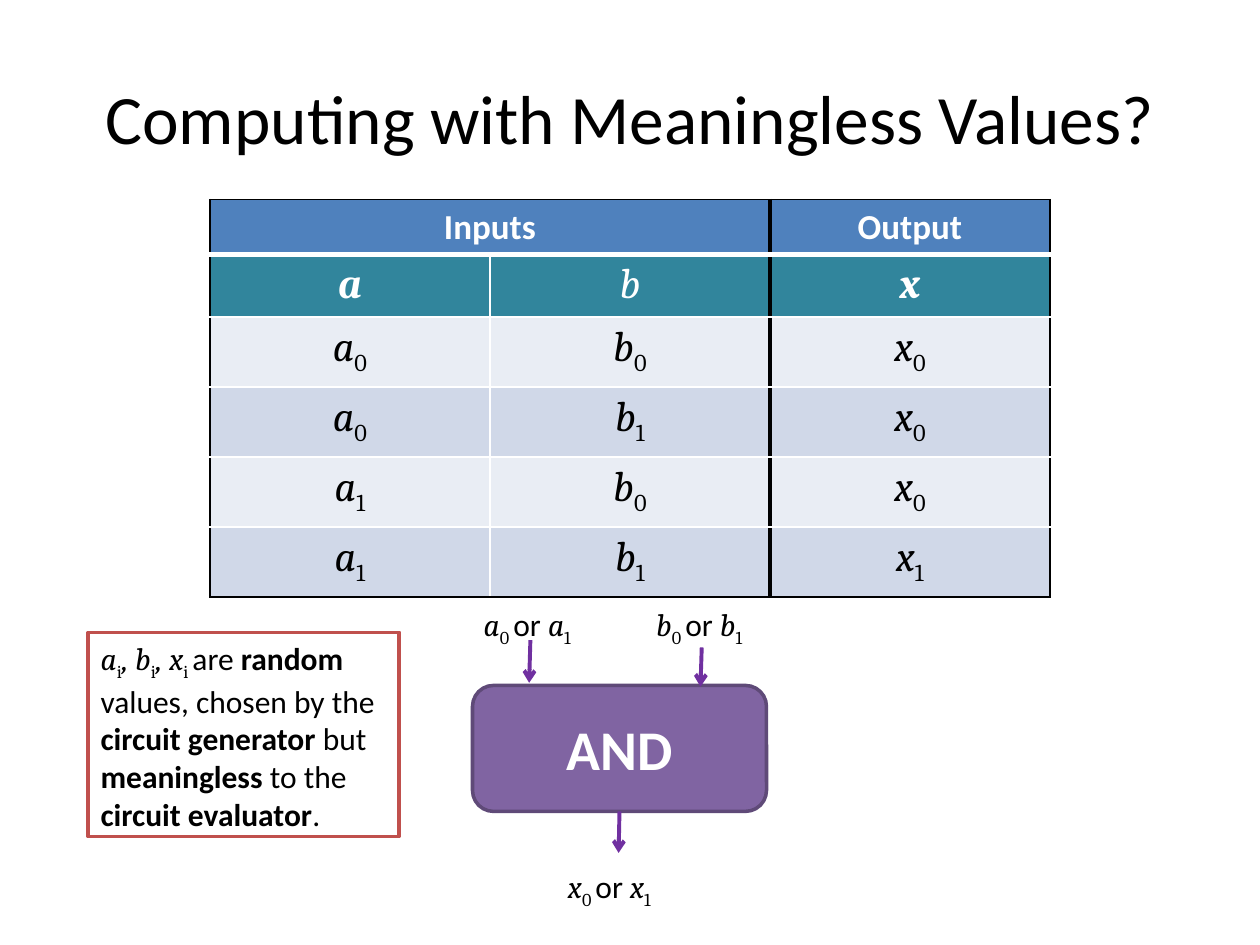
from lxml import etree
from pptx import Presentation
from pptx import util as u
from pptx.dml import color
from pptx.enum import shapes, text
from pptx.oxml import ns

COLORS = {
    "black": "000000", "white": "FFFFFF", "header": "4F81BD", "names": "31859C",
    "light": "E9EDF4", "dark": "D0D8E8", "gate": "8064A2", "gate_line": "5F4A78",
    "arrow": "7030A0", "note_line": "C0504D",
}
STYLES = {
    "plain": ("Calibri", False, False),
    "bold": ("Calibri", True, False),
    "variable": ("Cambria", False, True),
    "bold_variable": ("Cambria", True, True),
    "subscript": ("Cambria", False, False),
}
TRUTH_ROWS = ["000", "010", "100", "111"]
ROW_HEIGHTS = [31, 35] + [38] * len(TRUTH_ROWS)
COLUMN_EDGES = [("black", 1), ("white", 1), ("black", 3), ("black", 1)]
ROW_EDGES = [("black", 1), ("white", 3)] + [("white", 1)] * 4 + [("black", 1)]


def rgb(name):
    return color.RGBColor.from_string(COLORS[name])


def write(frame, spans, size, ink="black", align=text.PP_ALIGN.LEFT):
    para = frame.paragraphs[0]
    para.alignment = align
    for words, style in spans:
        span = para.add_run()
        span.text = words
        font = span.font
        font.name, font.bold, font.italic = STYLES[style]
        font.size = u.Pt(size)
        font.color.rgb = rgb(ink)
        if style == "subscript":
            span._r.get_or_add_rPr().set("baseline", "-25000")


def indexed(letter, index):
    return [(letter, "variable"), (index, "subscript")]


def add_text(page, place, spans, size, wrap=False, align=text.PP_ALIGN.LEFT):
    box = page.shapes.add_textbox(*map(u.Pt, place))
    box.text_frame.word_wrap = wrap
    write(box.text_frame, spans, size, align=align)
    return box


def add_choice(page, letter, left, top):
    spans = indexed(letter, "0 ") + [("or ", "plain")] + indexed(letter, "1")
    box = add_text(page, (left, top, 69.5, 29), spans, 18)
    box.text_frame.auto_size = text.MSO_AUTO_SIZE.SHAPE_TO_FIT_TEXT


def add_panel(page, kind, place, fill, line):
    panel = page.shapes.add_shape(kind, *map(u.Pt, place))
    panel.shadow.inherit = False
    panel.fill.solid()
    panel.fill.fore_color.rgb = rgb(fill)
    panel.line.color.rgb = rgb(line)
    panel.line.width = u.Pt(2)
    panel.text_frame.word_wrap = True
    return panel


def add_arrow(page, *ends):
    arrow = page.shapes.add_connector(
        shapes.MSO_CONNECTOR.STRAIGHT, *map(u.Pt, ends))
    arrow.line.color.rgb = rgb("arrow")
    arrow.line.width = u.Pt(2.25)
    etree.SubElement(arrow.line._get_or_add_ln(), ns.qn("a:tailEnd"), type="arrow")
    etree.SubElement(arrow._element.spPr, ns.qn("a:effectLst"))
    return arrow


def set_borders(cell, edges):
    properties = cell._tc.get_or_add_tcPr()
    for side, (ink, width) in zip("LRTB", edges):
        line = etree.SubElement(
            properties, ns.qn(f"a:ln{side}"), w=str(u.Pt(width)))
        fill = etree.SubElement(line, ns.qn("a:solidFill"))
        etree.SubElement(fill, ns.qn("a:srgbClr"), val=COLORS[ink])


def fill_cell(table, row, column, spans, size, ink, fill, columns=1):
    cell = table.cell(row, column)
    if columns > 1:
        cell.merge(table.cell(row, column + columns - 1))
    for part in range(column, column + columns):
        set_borders(table.cell(row, part), (
            COLUMN_EDGES[column], COLUMN_EDGES[column + columns],
            ROW_EDGES[row], ROW_EDGES[row + 1]))
    cell.fill.solid()
    cell.fill.fore_color.rgb = rgb(fill)
    write(cell.text_frame, spans, size, ink, text.PP_ALIGN.CENTER)


def add_truth_table(page):
    place = (120, 114, 480, sum(ROW_HEIGHTS))
    table = page.shapes.add_table(len(ROW_HEIGHTS), 3, *map(u.Pt, place)).table
    for row, height in zip(table.rows, ROW_HEIGHTS):
        row.height = u.Pt(height)
    fill_cell(table, 0, 0, [("Inputs", "bold")], 20, "white", "header", columns=2)
    fill_cell(table, 0, 2, [("Output", "bold")], 20, "white", "header")
    names = [("a", "bold_variable"), ("b", "variable"), ("x", "bold_variable")]
    for column, name in enumerate(names):
        fill_cell(table, 1, column, [name], 24, "white", "names")
    for row, indices in enumerate(TRUTH_ROWS, start=2):
        fill = "dark" if row % 2 else "light"
        for column, (letter, index) in enumerate(zip("abx", indices)):
            fill_cell(table, row, column, indexed(letter, index), 24, "black", fill)


def add_gate(page):
    gate = add_panel(page, shapes.MSO_SHAPE.ROUNDED_RECTANGLE,
                     (270, 391.7, 168, 72), "gate", "gate_line")
    gate.text_frame.vertical_anchor = text.MSO_ANCHOR.MIDDLE
    write(gate.text_frame, [("AND", "bold")], 32, "white", text.PP_ALIGN.CENTER)
    add_arrow(page, 303.1, 365.8, 302.4, 390.2)
    add_arrow(page, 401, 370, 400.3, 392.4)
    add_arrow(page, 354, 463.7, 353.5, 487.4).begin_connect(gate, 2)
    add_choice(page, "a", 269.3, 342)
    add_choice(page, "b", 367.9, 342)
    add_choice(page, "x", 317.5, 491.8)


def add_note(page):
    note = add_panel(page, shapes.MSO_SHAPE.RECTANGLE,
                     (50.4, 361.4, 177.8, 116.6), "white", "note_line")
    note.text_frame.vertical_anchor = text.MSO_ANCHOR.TOP
    note.text_frame.auto_size = text.MSO_AUTO_SIZE.SHAPE_TO_FIT_TEXT
    spans = indexed("a", "i") + indexed(", b", "i") + indexed(", x", "i ") + [
        ("are ", "plain"), ("random", "bold"),
        (" values, chosen by the ", "plain"), ("circuit generator", "bold"),
        (" but ", "plain"), ("meaningless", "bold"), (" to the ", "plain"),
        ("circuit evaluator", "bold"), (".", "plain"),
    ]
    write(note.text_frame, spans, 18)


def main():
    deck = Presentation()
    deck.slide_width, deck.slide_height = u.Pt(720), u.Pt(540)
    page = deck.slides.add_slide(deck.slide_layouts[6])
    title = add_text(page, (36, 21.6, 648, 90),
                     [("Computing with Meaningless Values?", "plain")], 39.6,
                     wrap=True, align=text.PP_ALIGN.CENTER)
    title.text_frame.vertical_anchor = text.MSO_ANCHOR.MIDDLE
    add_truth_table(page)
    add_gate(page)
    add_note(page)
    deck.save("out.pptx")


if __name__ == "__main__":
    main()
